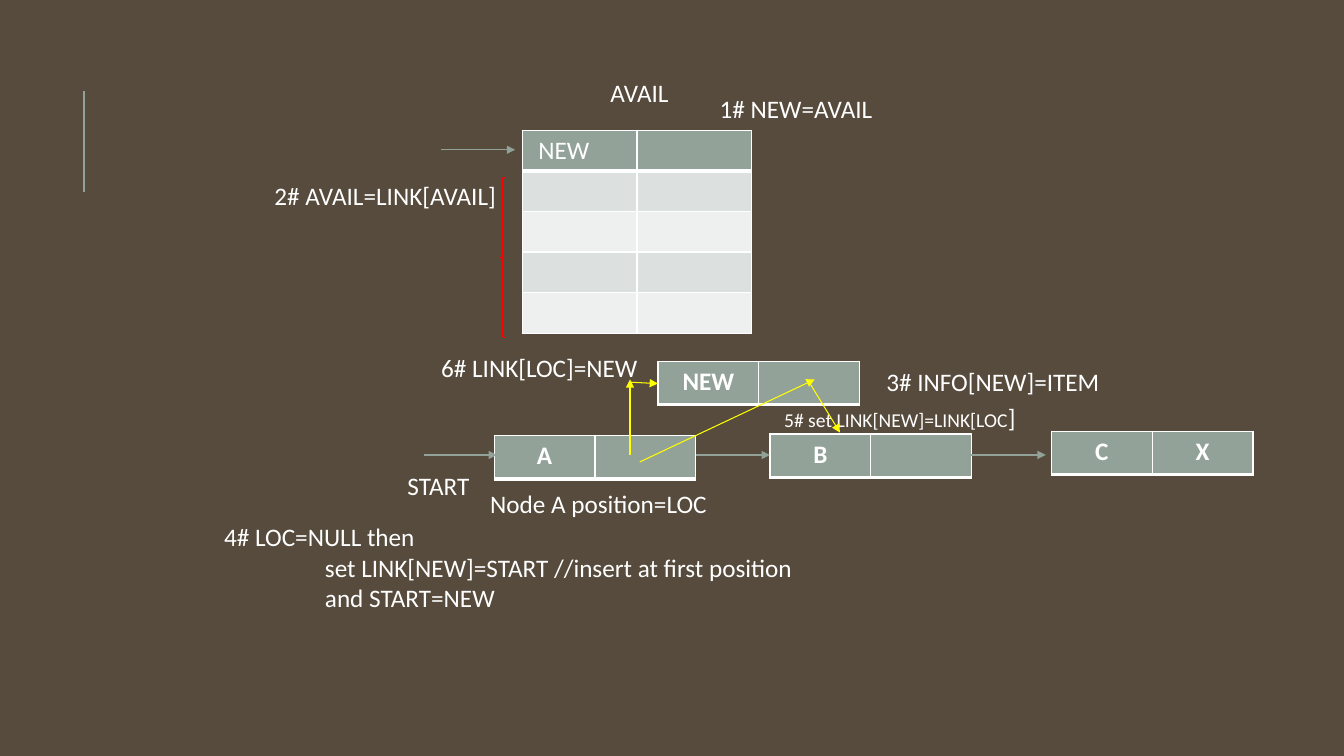
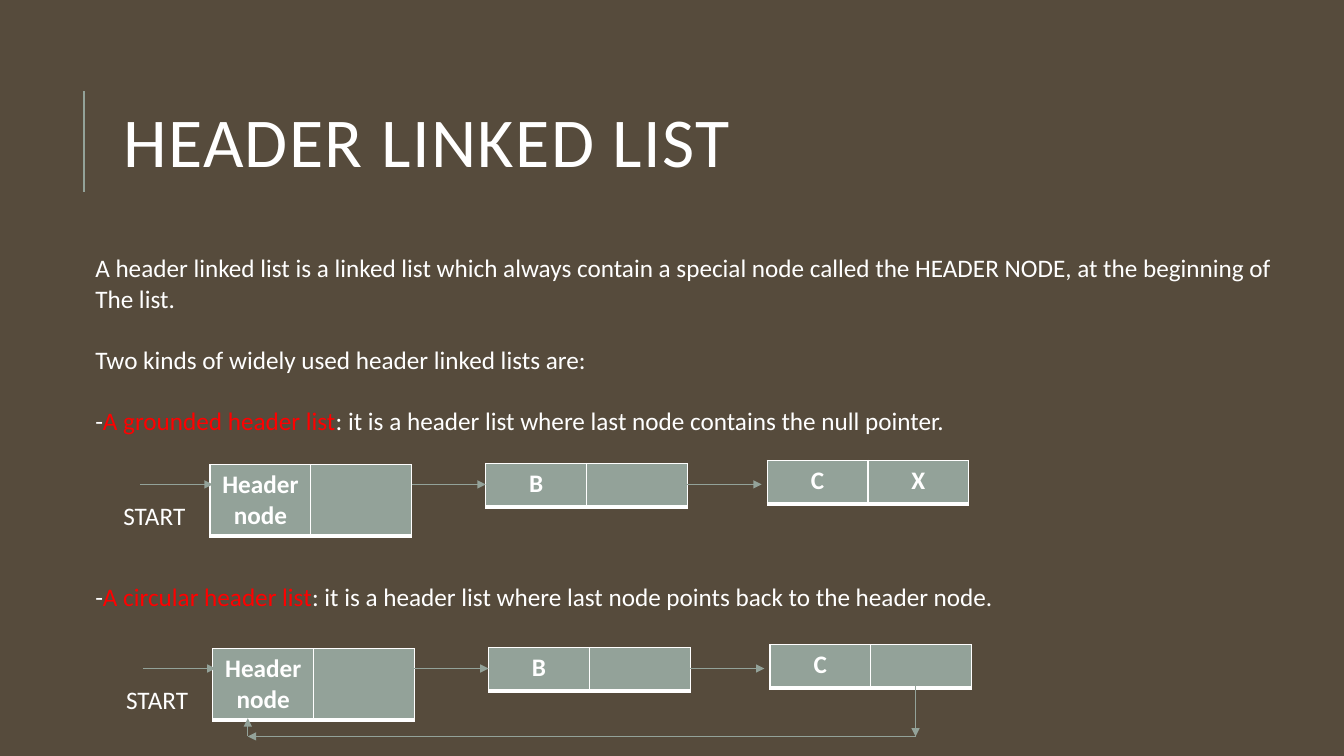
from itertools import pairwise

from lxml import etree
from pptx import Presentation
from pptx.dml.color import RGBColor
from pptx.enum.shapes import MSO_CONNECTOR, MSO_SHAPE
from pptx.enum.text import MSO_ANCHOR, PP_ALIGN
from pptx.oxml.ns import qn
from pptx.util import Pt

STRAIGHT = MSO_CONNECTOR.STRAIGHT
BRACE = MSO_SHAPE.LEFT_BRACE
LEFT, CENTER = PP_ALIGN.LEFT, PP_ALIGN.CENTER
TOP, MIDDLE = MSO_ANCHOR.TOP, MSO_ANCHOR.MIDDLE

FONT = "Calibri"
BROWN, SAGE, WHITE = "564B3C", "93A299", "FFFFFF"
RED, YELLOW = "FF0000", "FFFF00"
BANDS = ["DCE0DE", "EEF0EF"]

# Content: a paragraph is a string or a list of (text, run format) pairs
INSERT_LABELS = [  # left, top, width, paragraphs, indent of later paragraphs
    (429, 52, 80, ["AVAIL"], 0),
    (507, 63, 150, ["1# NEW=AVAIL"], 0),
    (189, 125, 185, ["2# AVAIL=LINK[AVAIL]"], 0),
    (626, 258, 206, ["3# INFO[NEW]=ITEM"], 0),
    (153, 369, 480, ["4# LOC=NULL then",
                     "set LINK[NEW]=START //insert at first position",
                     "and START=NEW"], 72),
    (553, 284, 200, [[("5# set LINK[NEW]=LINK[LOC", {"size": 14}), ("]", {})]], 0),
    (308, 248, 182, ["6# LINK[LOC]=NEW"], 0),
    (343, 345, 190, ["Node A position=LOC"], 0),
]
POINTER_ARROWS = [
    ((457, 330), (582, 271)),
    ((578, 273), (600, 309)),
    ((450, 325), (450, 271)),
    ((450, 273), (470, 274)),
]
INSERT_CHAIN = [("A", ""), ("B", ""), ("C", "X")]
GROUNDED_CHAIN = [("Header node", ""), ("B", ""), ("C", "X")]
CIRCULAR_CHAIN = [("Header node", ""), ("B", ""), ("C", "")]
AVAIL_ROWS = [("NEW", "")] + [("", "")] * 4

HEADER_TITLE = "HEADER LINKED LIST"
HEADER_INTRO = [
    "A header linked list is a linked list which always contain a special node "
    "called the HEADER NODE, at the beginning of",
    "The list.",
]
HEADER_KINDS = [
    "Two kinds of widely used header linked lists are:",
    [("-", {}), ("A grounded header list", {"color": RED}),
     (": it is a header list where last node contains the null pointer.", {})],
]
CIRCULAR_KIND = [
    [("-", {}), ("A circular header list", {"color": RED}),
     (": it is a header list where last node points back to the header node.", {})],
]
LOOP_BACK = [(654, 485), (654, 526), (177, 526), (177, 513)]

# Chain geometry, relative to the top left of the first node
NODE_OFFSETS = [(0, 0), (197, -1), (398, -3)]
LINK_SPANS = [(-50, 2), (144, 197), (339, 394)]
LINK_Y = 14
CELL_W, NODE_H, TALL_NODE_H = 72, 31, 51
LINE_H = 22


def rgb(color):
    return RGBColor.from_string(color)


def write(tf, paras, size=18, color=WHITE, bold=False, align=LEFT, gap=0,
          gap_from=1, indent=0, line_spacing=None, spacing=0):
    """Fill a text frame; gap and indent apply from paragraph gap_from on."""
    for i, para in enumerate(paras):
        p = tf.paragraphs[0] if i == 0 else tf.add_paragraph()
        p.alignment = align
        if line_spacing:
            p.line_spacing = line_spacing
        if i >= gap_from:
            if gap:
                p.space_before = Pt(gap)
            if indent:
                p._p.get_or_add_pPr().set("marL", str(Pt(indent)))
        p.font.size = Pt(size)
        for words, fmt in [(para, {})] if isinstance(para, str) else para:
            r = p.add_run()
            r.text = words
            r.font.name = FONT
            r.font.size = Pt(fmt.get("size", size))
            r.font.bold = bold
            r.font.color.rgb = rgb(fmt.get("color", color))
            if spacing:
                r._r.get_or_add_rPr().set("spc", str(spacing * 100))


def add_text(s, x, y, w, paras, h=None, anchor=TOP, **fmt):
    height = h or LINE_H * len(paras) + 7
    tf = s.shapes.add_textbox(Pt(x), Pt(y), Pt(w), Pt(height)).text_frame
    tf.word_wrap = True
    tf.vertical_anchor = anchor
    write(tf, paras, **fmt)


def add_line(s, start, end, color=SAGE, width=0.75, arrow=True):
    sp = s.shapes.add_connector(STRAIGHT, *(Pt(v) for v in (*start, *end)))
    sp.line.color.rgb = rgb(color)
    sp.line.width = Pt(width)
    if arrow:
        etree.SubElement(sp.line._get_or_add_ln(), qn("a:tailEnd"), type="triangle")
    etree.SubElement(sp._element.spPr, qn("a:effectLst"))


def set_borders(cell, bottom):
    tc_pr = cell._tc.get_or_add_tcPr()
    for i, (side, width) in enumerate(zip("LRTB", (1, 1, 1, bottom))):
        ln = etree.Element(qn(f"a:ln{side}"), w=str(Pt(width)))
        fill = etree.SubElement(ln, qn("a:solidFill"))
        etree.SubElement(fill, qn("a:srgbClr"), val=WHITE)
        tc_pr.insert(i, ln)


def add_grid(s, x, y, rows, col_w, row_h, margin=7.2, **fmt):
    """Table with a sage first row, a thick rule below it and banded rows."""
    cols = len(rows[0])
    table = s.shapes.add_table(len(rows), cols, Pt(x), Pt(y), Pt(col_w * cols),
                               Pt(row_h * len(rows))).table
    table.first_row = table.horz_banding = False
    for col in table.columns:
        col.width = Pt(col_w)
    for i, row in enumerate(rows):
        table.rows[i].height = Pt(row_h)
        for j, words in enumerate(row):
            cell = table.cell(i, j)
            cell.margin_left = Pt(margin)
            cell.fill.solid()
            cell.fill.fore_color.rgb = rgb(BANDS[(i - 1) % 2] if i else SAGE)
            set_borders(cell, 1 if i else 3)
            write(cell.text_frame, [words] if words else [[]], **fmt)


def add_node(s, x, y, cells):
    height = TALL_NODE_H if " " in cells[0] else NODE_H
    add_grid(s, x, y, [cells], CELL_W, height, bold=True, align=CENTER)


def add_chain(s, x, y, nodes):
    """START arrow, then the nodes with an arrow into each."""
    for (dx, dy), cells in zip(NODE_OFFSETS, nodes):
        add_node(s, x + dx, y + dy, cells)
    for left, right in LINK_SPANS:
        add_line(s, (x + left, y + LINK_Y), (x + right, y + LINK_Y))
    add_text(s, x - 69, y + 21.5, 66, ["START"])


def new_slide(prs):
    s = prs.slides.add_slide(prs.slide_layouts[6])
    add_line(s, (60, 137), (60, 65), width=1.5, arrow=False)
    return s


def insert_slide(prs):
    s = new_slide(prs)
    # Lists and nodes
    add_chain(s, 353, 311, INSERT_CHAIN)
    add_node(s, 470, 258, ("NEW", ""))
    add_grid(s, 373, 93, AVAIL_ROWS, 82, 29, margin=11.5)
    add_line(s, (315, 107), (368, 107))
    # Remaining free nodes
    sp = s.shapes.add_shape(BRACE, Pt(357), Pt(127), Pt(4), Pt(114))
    sp.shadow.inherit = False
    sp.fill.background()
    sp.line.color.rgb = rgb(RED)
    sp.line.width = Pt(0.75)
    # Steps and changed pointers
    for x, y, w, paras, indent in INSERT_LABELS:
        add_text(s, x, y, w, paras, indent=indent)
    for start, end in POINTER_ARROWS:
        add_line(s, start, end, YELLOW)


def header_slide(prs):
    s = new_slide(prs)
    add_text(s, 81, 46, 765, [HEADER_TITLE], h=118, anchor=MIDDLE, size=50,
             line_spacing=0.8, spacing=1)
    # Grounded list
    add_text(s, 61, 177, 870, HEADER_INTRO + HEADER_KINDS, h=138,
             gap=LINE_H, gap_from=len(HEADER_INTRO))
    add_chain(s, 150, 332, GROUNDED_CHAIN)
    # Circular list
    add_text(s, 61, 412, 700, CIRCULAR_KIND)
    add_chain(s, 152, 463.5, CIRCULAR_CHAIN)
    for start, end in pairwise(LOOP_BACK):
        add_line(s, start, end)


def main():
    prs = Presentation()
    prs.slide_width, prs.slide_height = Pt(960), Pt(540)
    fill = prs.slide_master.background.fill
    fill.solid()
    fill.fore_color.rgb = rgb(BROWN)
    insert_slide(prs)
    header_slide(prs)
    prs.save("out.pptx")


if __name__ == "__main__":
    main()
